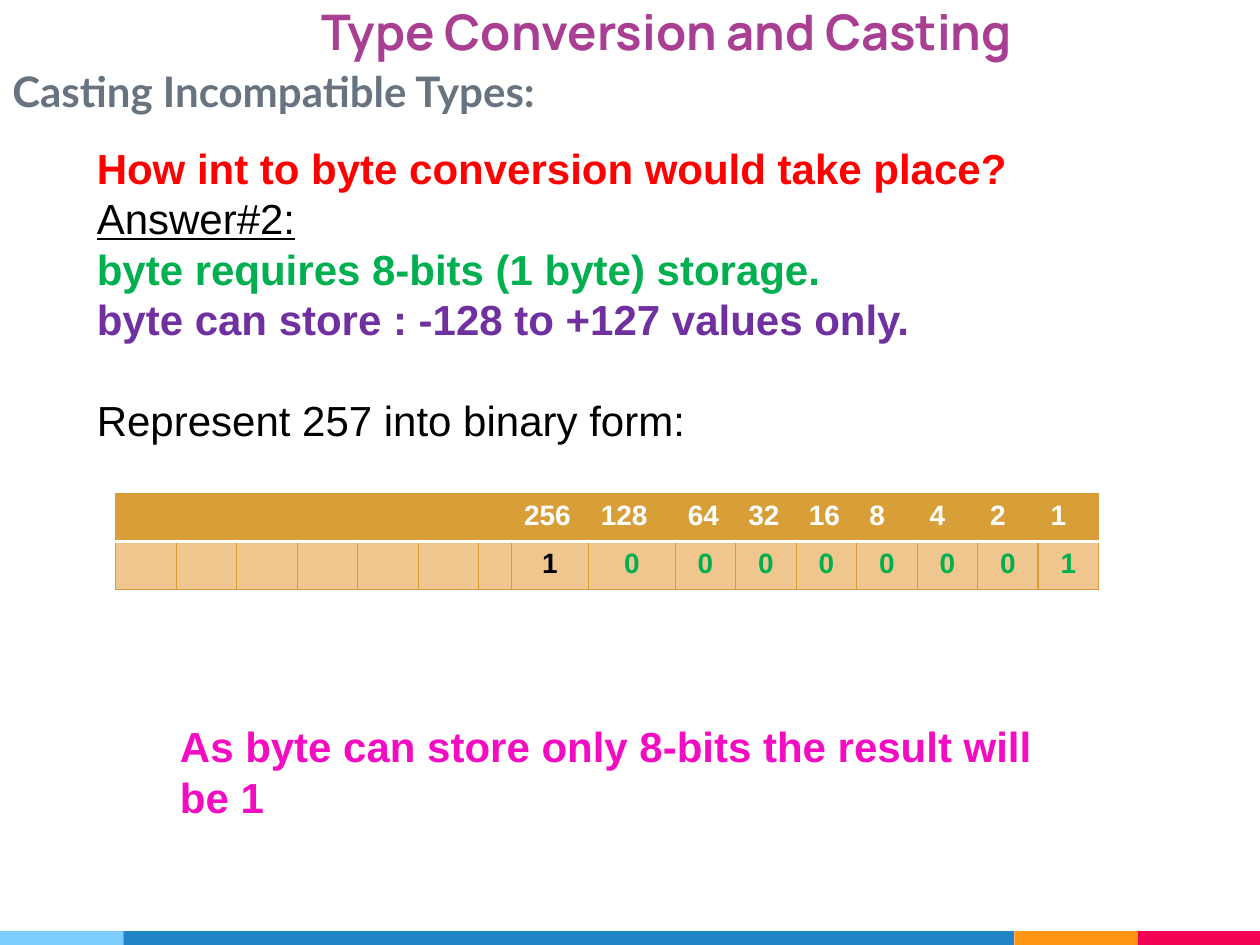
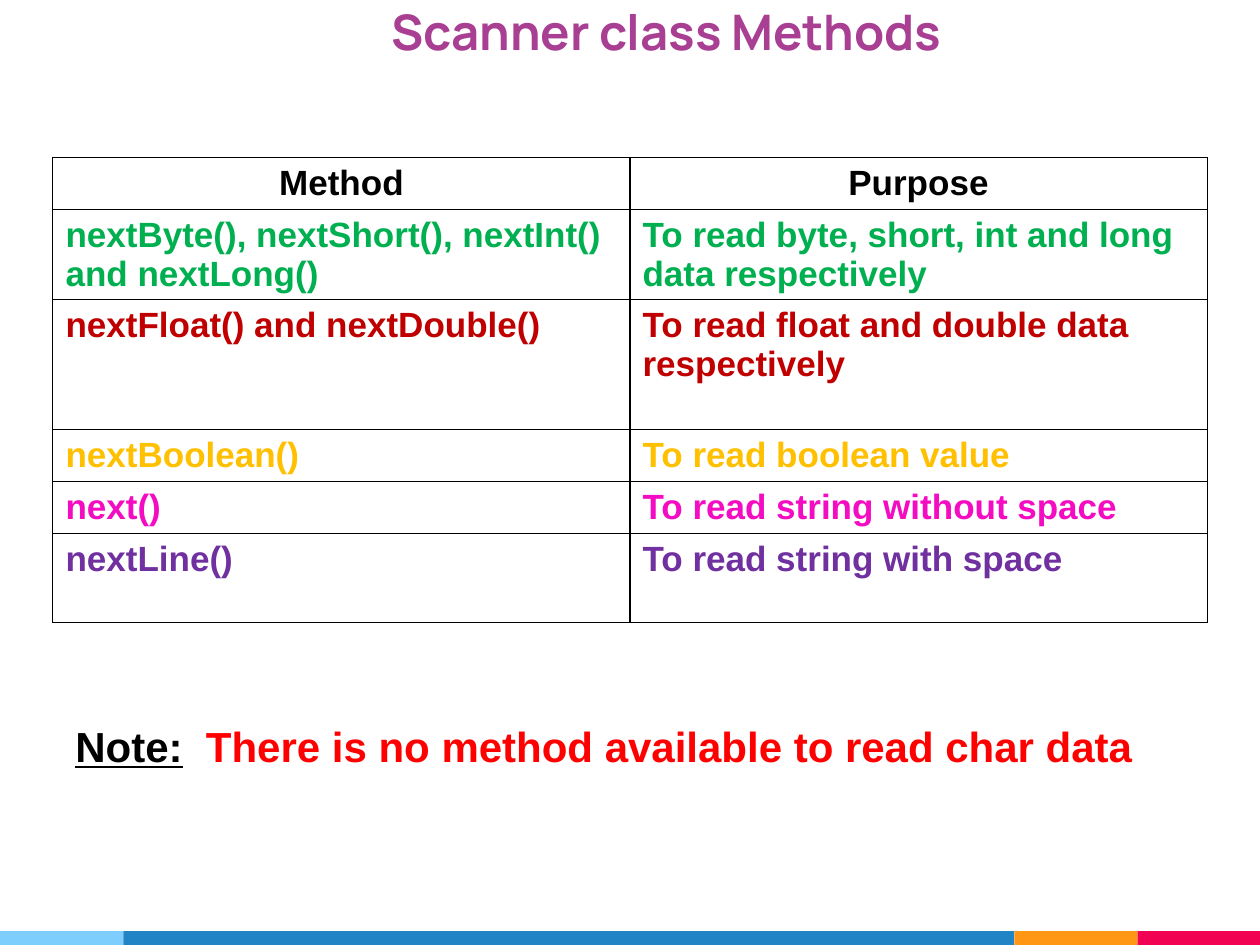
"""Build two slides on type casting and Scanner methods."""
from lxml import etree
from pptx import Presentation
from pptx.dml.color import RGBColor
from pptx.enum.shapes import MSO_SHAPE
from pptx.enum.text import MSO_ANCHOR, PP_ALIGN
from pptx.oxml.ns import qn
from pptx.util import Inches, Pt

RECT = MSO_SHAPE.RECTANGLE
TOP, BOTTOM = MSO_ANCHOR.TOP, MSO_ANCHOR.BOTTOM
LEFT, CENTER = PP_ALIGN.LEFT, PP_ALIGN.CENTER

BLACK, WHITE, RED = "000000", "FFFFFF", "FF0000"
GREEN, PURPLE, PINK = "00B050", "7030A0", "F40CC2"
GOLD, SAND, EDGE = "D89F39", "EFC68D", "D79D34"

BANDS = [("7ECEFD", 0.98), ("2185C5", 7.07), ("FF9715", 0.98), ("F20253", 0.97)]
HEAD = dict(size=28, name="Manrope", color="A93F92", bold=True)
SUB = dict(size=24, name="Lato", color="677480", bold=True)
BODY = dict(size=24, name="Arial", color=BLACK, bold=True)
PLAIN = dict(BODY, bold=False)
BIT = dict(BODY, size=16)
CELL = dict(BODY, size=20)

ANSWER = [
    ("How int to byte conversion would take place?", dict(BODY, color=RED)),
    ("Answer#2:", dict(PLAIN, underline=True)),
    ("byte requires 8-bits (1 byte) storage.", dict(BODY, color=GREEN)),
    ("byte can store : -128 to +127 values only.", dict(BODY, color=PURPLE)),
    ("Represent 257 into binary form:", PLAIN),
]
RESULT = "As byte can store only 8-bits the result will be 1"
SPARE = 7
POWERS = [str(2 ** n) for n in range(8, -1, -1)]
BITS = list(f"{257:b}")
BIT_COLS = [0.48] * 6 + [0.26, 0.61, 0.69] + [0.48] * 7

METHODS = [
    ("Method", "Purpose", BLACK, 0.41),
    ("nextByte(), nextShort(), nextInt() and nextLong()",
     "To read byte, short, int and long data respectively", GREEN, 0.71),
    ("nextFloat() and nextDouble()",
     "To read float and double data respectively", "C00000", 1.03),
    ("nextBoolean()", "To read boolean value", "FFC000", 0.41),
    ("next()", "To read string without space", PINK, 0.41),
    ("nextLine()", "To read string with space", PURPLE, 0.71),
]
NOTE = [
    ("Note:", dict(BODY, underline=True)),
    ("  ", BODY),
    ("There is no method available to read char data", dict(BODY, color=RED)),
]


def rgb(code):
    """Turn a hex string into a colour."""
    return RGBColor.from_string(code)


def write(par, runs, align=LEFT, pitch=None):
    """Fill a paragraph with formatted runs."""
    par.alignment = align
    if pitch:
        par.line_spacing = Pt(pitch)
    for text, style in runs:
        run = par.add_run()
        run.text = text
        for key, val in style.items():
            if key == "color":
                run.font.color.rgb = rgb(val)
            else:
                setattr(run.font, key, Pt(val) if key == "size" else val)


def add_text(slide, box, lines, align=LEFT, pitch=None, inset=0.05, anchor=TOP):
    """Add a text box holding one paragraph per line."""
    frame = slide.shapes.add_textbox(*map(Inches, box)).text_frame
    form = dict(word_wrap=True, vertical_anchor=anchor,
                margin_top=Inches(inset), margin_bottom=Inches(inset))
    for key, val in form.items():
        setattr(frame, key, val)
    for i, runs in enumerate(lines):
        par = frame.paragraphs[0] if i == 0 else frame.add_paragraph()
        write(par, runs, align, pitch)
    return frame


def add_grid(slide, left, top, cols, rows):
    """Add a table without banding, sized by its columns and rows."""
    size = map(Inches, (left, top, sum(cols), sum(rows)))
    grid = slide.shapes.add_table(len(rows), len(cols), *size).table
    grid.first_row = grid.horz_banding = False
    for col, wide in zip(grid.columns, cols):
        col.width = Inches(wide)
    for row, high in zip(grid.rows, rows):
        row.height = Inches(high)
    return grid


def edge(cell, **sides):
    """Draw cell borders given as side=(colour, points)."""
    props = cell._tc.get_or_add_tcPr()
    for side in "LRTB":
        code, wide = sides[side]
        line = etree.SubElement(props, qn(f"a:ln{side}"), w=str(int(Pt(wide))))
        fill = etree.SubElement(line, qn("a:solidFill"))
        etree.SubElement(fill, qn("a:srgbClr"), val=code)


def add_page(deck, title):
    """Add a slide with its title and footer bands."""
    slide = deck.slides.add_slide(deck.slide_layouts[6])
    left = 0
    for code, wide in BANDS:
        band = slide.shapes.add_shape(RECT, *map(Inches, (left, 7.39, wide, 0.11)))
        band.shadow.inherit = False
        band.fill.solid()
        band.fill.fore_color.rgb = rgb(code)
        band.line.fill.background()
        left += wide
    add_text(slide, (1.67, 0.07, 7.24, 0.51), [[(title, HEAD)]], CENTER,
             inset=0.1, anchor=BOTTOM)
    return slide


def add_bits(slide):
    """Add the table of binary digits under their powers of two."""
    grid = add_grid(slide, 0.92, 3.92, BIT_COLS, [0.38, 0.38])
    thin, thick = (EDGE, 0.75), (WHITE, 2)
    for c in range(len(BIT_COLS)):
        for r, (vals, fill) in enumerate([(POWERS, GOLD), (BITS, SAND)]):
            cell = grid.cell(r, c)
            edge(cell, L=thin, R=thin, T=thick if r else thin,
                 B=thin if r else thick)
            cell.fill.solid()
            cell.fill.fore_color.rgb = rgb(fill)
            par = cell.text_frame.paragraphs[0]
            if c < SPARE:
                par._p.get_or_add_endParaRPr().set("sz", "1600")
                continue
            ink = WHITE if r == 0 else BLACK if c == SPARE else GREEN
            write(par, [(vals[c - SPARE], dict(BIT, color=ink))],
                  CENTER if r else LEFT)


def add_methods(slide):
    """Add the table of methods and their purpose."""
    grid = add_grid(slide, 0.42, 1.25, [4.58, 4.58], [m[3] for m in METHODS])
    for r, (name, use, ink, _) in enumerate(METHODS):
        for c, text in enumerate((name, use)):
            cell = grid.cell(r, c)
            edge(cell, **dict.fromkeys("LRTB", (BLACK, 0.75)))
            cell.fill.background()
            write(cell.text_frame.paragraphs[0], [(text, dict(CELL, color=ink))],
                  LEFT if r else CENTER, 22.3)


deck = Presentation()
deck.slide_width, deck.slide_height = Inches(10), Inches(7.5)

cast = add_page(deck, "Type Conversion and Casting")
add_text(cast, (0, 0.42, 10, 0.6), [[("Casting Incompatible Types:", SUB)]], inset=0.1)
frame = add_text(cast, (0.67, 1.08, 9, 2.52), [[line] for line in ANSWER], pitch=28.8)
frame.paragraphs[-1].space_before = Pt(28.8)
add_bits(cast)
add_text(cast, (1.33, 5.67, 7.17, 0.91), [[(RESULT, dict(BODY, color=PINK))]], pitch=28.8)

scan = add_page(deck, "Scanner class Methods")
add_methods(scan)
add_text(scan, (0.5, 5.67, 9, 0.5), [NOTE], pitch=28.8)

deck.save("out.pptx")
